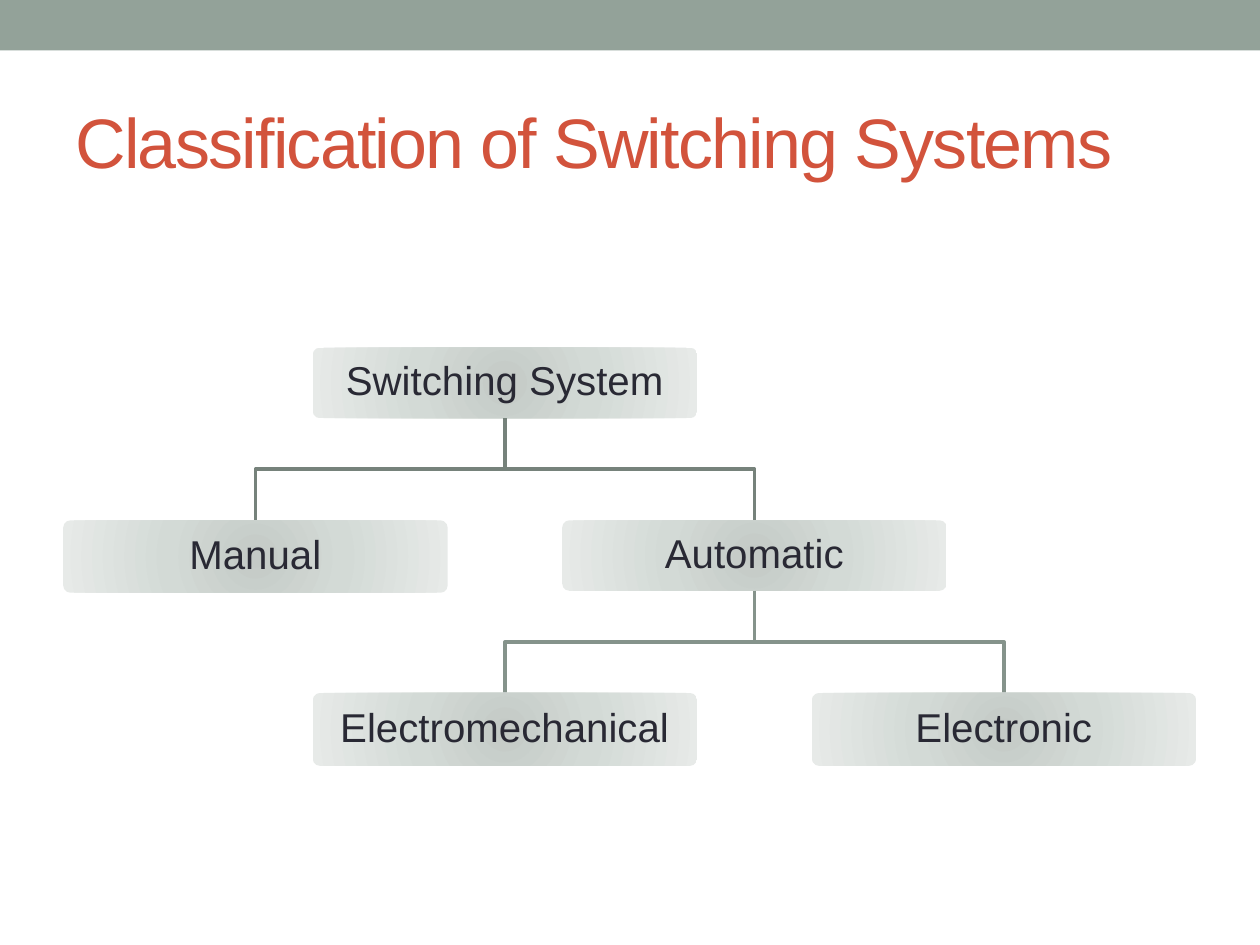
"""Build a slide with a tree that classifies switching systems."""
from lxml import etree
from pptx import Presentation
from pptx.dml.color import RGBColor
from pptx.enum import shapes, text
from pptx.oxml import ns
from pptx.util import Cm, Pt

TITLE = "Classification of Switching Systems"
NODES = {
    "Switching System": dict(column=1, level=0, height=1.42, parent=None),
    "Manual": dict(column=0, level=1, height=1.46, parent="Switching System"),
    "Automatic": dict(column=2, level=1, height=1.42, parent="Switching System"),
    "Electromechanical": dict(column=1, level=2, height=1.47, parent="Automatic"),
    "Electronic": dict(column=3, level=2, height=1.47, parent="Automatic"),
}

SAGE = RGBColor(0x93, 0xA2, 0x99)
RUST = RGBColor(0xD2, 0x53, 0x3C)
INK = RGBColor(0x29, 0x29, 0x34)
BRANCH_COLORS = {1: RGBColor(0x76, 0x82, 0x7B), 2: RGBColor(0x85, 0x93, 0x8B)}
NODE_STOPS = [
    (0, RGBColor(0xC4, 0xCA, 0xC6)),
    (45, RGBColor(0xD3, 0xDA, 0xD6)),
    (100, RGBColor(0xE7, 0xEA, 0xE8)),
]
FONT = "Arial"

FIRST_CENTER, COLUMN_STEP = 5.15, 5.03
FIRST_TOP, LEVEL_STEP = 7.01, 3.48
NODE_WIDTH = 7.75


def center_of(node):
    return FIRST_CENTER + node["column"] * COLUMN_STEP


def top_of(node):
    return FIRST_TOP + node["level"] * LEVEL_STEP


def set_text(frame, words, size, color):
    frame.word_wrap = True
    frame.vertical_anchor = text.MSO_ANCHOR.MIDDLE
    line = frame.paragraphs[0]
    line.text = words
    line.font.name, line.font.size = FONT, Pt(size)
    line.font.color.rgb = color
    return line


def set_radial_fill(shape):
    shape.fill.gradient()
    gradient = shape.element.spPr.find(ns.qn("a:gradFill"))
    for part in list(gradient):
        gradient.remove(part)
    stops = etree.SubElement(gradient, ns.qn("a:gsLst"))
    for percent, color in NODE_STOPS:
        stop = etree.SubElement(stops, ns.qn("a:gs"), pos=str(percent * 1000))
        etree.SubElement(stop, ns.qn("a:srgbClr"), val=str(color))
    radial = etree.SubElement(gradient, ns.qn("a:path"), path="circle")
    etree.SubElement(radial, ns.qn("a:fillToRect"), {side: "100000" for side in "ltrb"})


def add_branch(slide, parent, child):
    start = top_of(parent) + parent["height"]
    end = top_of(child)
    middle = (start + end) / 2
    from_x, to_x = center_of(parent), center_of(child)
    outline = slide.shapes.build_freeform(Cm(from_x), Cm(start))
    corners = [(from_x, middle), (to_x, middle), (to_x, end)]
    outline.add_line_segments([(Cm(x), Cm(y)) for x, y in corners], close=False)
    branch = outline.convert_to_shape()
    branch.shadow.inherit = False
    branch.fill.background()
    branch.line.color.rgb = BRANCH_COLORS[child["level"]]
    branch.line.width = Pt(2.08)


def add_node(slide, label, node):
    box = slide.shapes.add_shape(
        shapes.MSO_SHAPE.ROUNDED_RECTANGLE,
        Cm(center_of(node) - NODE_WIDTH / 2), Cm(top_of(node)),
        Cm(NODE_WIDTH), Cm(node["height"]),
    )
    box.adjustments[0] = 0.1
    box.shadow.inherit = False
    box.line.fill.background()
    set_radial_fill(box)
    line = set_text(box.text_frame, label, 23, INK)
    line.alignment = text.PP_ALIGN.CENTER
    line.line_spacing = 0.9


def main():
    deck = Presentation()
    deck.slide_width, deck.slide_height = Cm(25.4), Cm(19.05)
    slide = deck.slides.add_slide(deck.slide_layouts[6])

    band = slide.shapes.add_shape(
        shapes.MSO_SHAPE.RECTANGLE, 0, 0, deck.slide_width, Cm(1.02))
    band.shadow.inherit = False
    band.fill.solid()
    band.fill.fore_color.rgb = SAGE
    band.line.fill.background()

    heading = slide.shapes.add_textbox(Cm(1.27), Cm(1.47), Cm(22.86), Cm(2.74))
    line = set_text(heading.text_frame, TITLE, 40, RUST)
    line.runs[0].font._element.set("spc", "-100")

    for label, node in NODES.items():
        if node["parent"]:
            add_branch(slide, NODES[node["parent"]], node)
        add_node(slide, label, node)

    deck.save("out.pptx")


if __name__ == "__main__":
    main()
